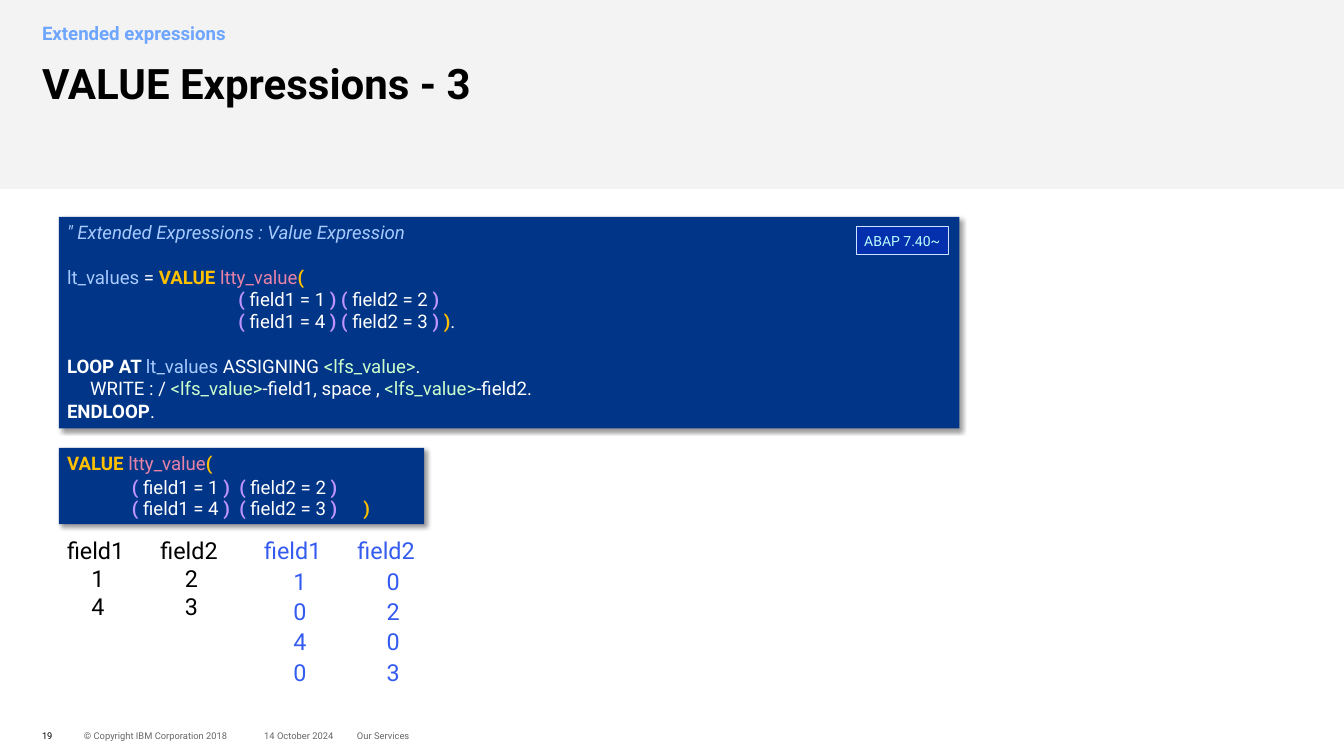
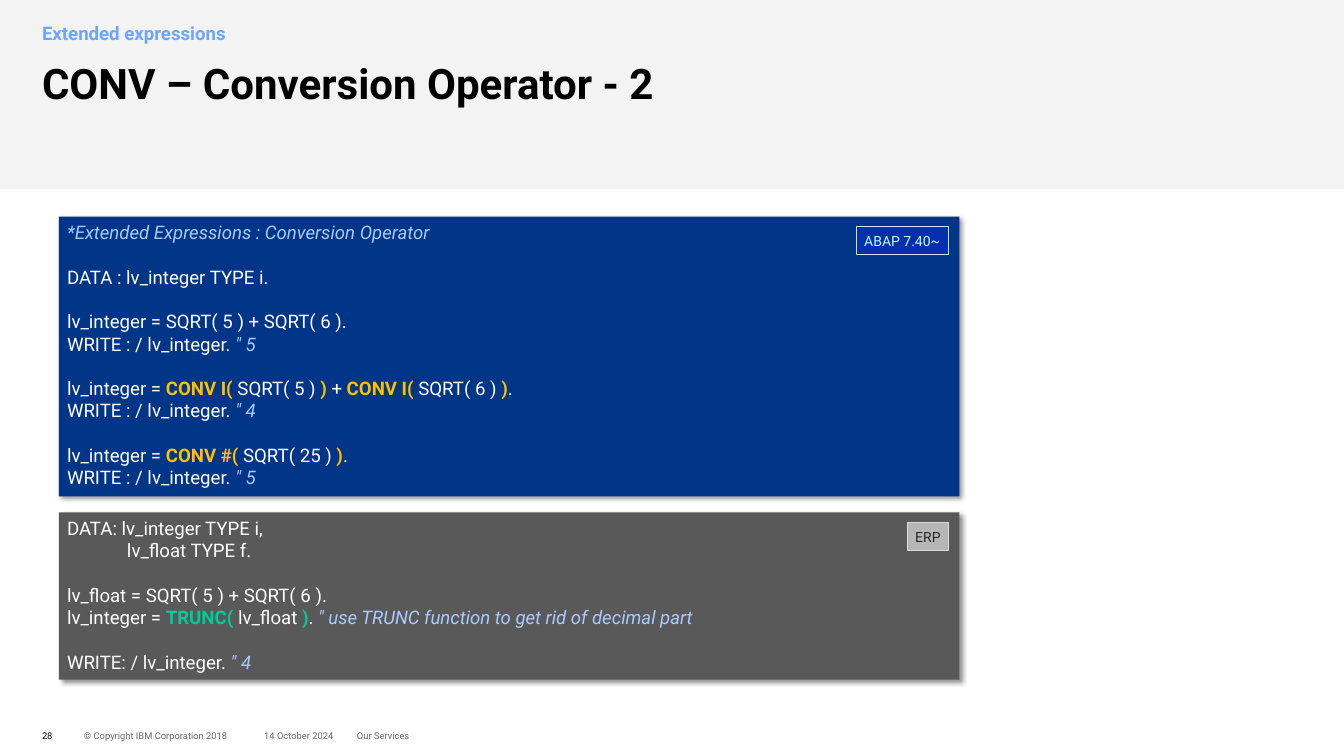
from dataclasses import dataclass

from lxml import etree
from pptx import Presentation
from pptx.dml.color import RGBColor
from pptx.enum.shapes import MSO_SHAPE
from pptx.enum.text import MSO_ANCHOR, MSO_AUTO_SIZE, PP_ALIGN
from pptx.oxml.ns import qn
from pptx.util import Pt

RECTANGLE = MSO_SHAPE.RECTANGLE
TOP, MIDDLE = MSO_ANCHOR.TOP, MSO_ANCHOR.MIDDLE
LEFT, CENTER, RIGHT = PP_ALIGN.LEFT, PP_ALIGN.CENTER, PP_ALIGN.RIGHT
NO_AUTOFIT = MSO_AUTO_SIZE.NONE
TITLE_AND_CONTENT = 1


@dataclass(frozen=True)
class Theme:
    font: str = "Roboto"
    # Type sizes and the height of one blank code line
    title_size: float = 36
    table_size: float = 20
    code_size: float = 16
    tag_size: float = 12
    footer_size: float = 8
    blank_line: float = 19
    # Colours
    text: str = "000000"
    footer: str = "666666"
    band: str = "F3F3F3"
    topic: str = "6EA6FF"
    result: str = "335BF0"
    new_code: str = "003587"
    old_code: str = "595959"
    # Tags: fill, line, text
    new_tag: tuple = ("0530AD", "CFE2FF", "BEFFFE")
    old_tag: tuple = ("B6B6B6", "D9D9D9", "262626")


THEME = Theme()

# Code styles: colour, bold, italic
CODE_STYLES = {
    "plain": ("FFFFFF", False, False),
    "bold": ("FFFFFF", True, False),
    "note": ("A8CAFF", False, True),
    "variable": ("A8CAFF", False, False),
    "keyword": ("FFC000", True, False),
    "type": ("E783A7", False, False),
    "paren": ("BE94FD", True, False),
    "symbol": ("CCFFCC", False, False),
    "function": ("00CC99", True, False),
}


class Deck:
    """Holds the theme and the slide being built."""

    def __init__(self, theme):
        self.theme = theme
        self.file = Presentation()
        self.file.slide_width, self.file.slide_height = Pt(1152), Pt(648)
        self.slide = None

    # Text helpers
    def style(self, paragraph, size, color, bold=False, align=LEFT):
        paragraph.alignment = align
        font = paragraph.font
        font.name, font.size, font.bold = self.theme.font, Pt(size), bold
        font.color.rgb = RGBColor.from_string(color)

    def frame(self, shape, anchor=TOP, inset=True, wrap=True):
        frame = shape.text_frame
        frame.auto_size = NO_AUTOFIT
        frame.word_wrap = wrap
        frame.vertical_anchor = anchor
        if not inset:
            frame.margin_left = frame.margin_right = 0
            frame.margin_top = frame.margin_bottom = 0
        return frame

    def write_code(self, frame, blocks):
        """Write blocks of lines; a blank line's height parts the blocks."""
        paragraph = None
        for block in blocks:
            for number, line in enumerate(block):
                opens_block = paragraph is not None and number == 0
                paragraph = frame.add_paragraph() if paragraph else frame.paragraphs[0]
                self.style(paragraph, self.theme.code_size, CODE_STYLES["plain"][0])
                if opens_block:
                    paragraph.space_before = Pt(self.theme.blank_line)
                for style, text in line:
                    run = paragraph.add_run()
                    run.text = text
                    color, run.font.bold, run.font.italic = CODE_STYLES[style]
                    run.font.color.rgb = RGBColor.from_string(color)

    # Elements
    def rectangle(self, box, fill, line=None):
        shape = self.slide.shapes.add_shape(RECTANGLE, *map(Pt, box))
        shape.shadow.inherit = False
        shape.fill.solid()
        shape.fill.fore_color.rgb = RGBColor.from_string(fill)
        if line:
            shape.line.color.rgb = RGBColor.from_string(line)
            shape.line.width = Pt(0.75)
        else:
            shape.line.fill.background()
        return shape

    def heading(self, placeholder, box, text, size, color):
        placeholder.left, placeholder.top, placeholder.width, placeholder.height = map(Pt, box)
        frame = self.frame(placeholder, inset=False)
        frame.text = text
        paragraph = frame.paragraphs[0]
        properties = paragraph._p.get_or_add_pPr()
        properties.set("marL", "0")
        properties.set("indent", "0")
        etree.SubElement(properties, qn("a:buNone"))
        paragraph.line_spacing = 0.9
        paragraph.space_before = Pt(0)
        self.style(paragraph, size, color, bold=True)

    def footer(self, left, width, text, color, align=LEFT):
        box = self.slide.shapes.add_textbox(Pt(left), Pt(622), Pt(width), Pt(17))
        frame = self.frame(box, MIDDLE, inset=False)
        frame.text = text
        self.style(frame.paragraphs[0], self.theme.footer_size, color, align=align)

    def start_slide(self, title, number):
        theme = self.theme
        layout = self.file.slide_layouts[TITLE_AND_CONTENT]
        self.slide = self.file.slides.add_slide(layout)
        band = self.rectangle((0, 0, 1152, 162), theme.band)
        self.slide.shapes.element.insert(2, band.element)
        self.heading(self.slide.shapes.title, (36, 54, 1080, 63),
                     title, theme.title_size, theme.text)
        self.heading(self.slide.placeholders[1], (36, 21, 234, 33),
                     "Extended expressions", theme.code_size, theme.topic)
        self.footer(36, 26, number, theme.text)
        self.footer(72, 180, "© Copyright IBM Corporation 2018", theme.footer)
        self.footer(178, 108, "14 October 2024", theme.footer, RIGHT)
        self.footer(306, 180, "Our Services", theme.footer)

    def code_panel(self, top, height, blocks, fill, width=772):
        panel = self.rectangle((50.4, top, width, height), fill)
        effects = panel.element.spPr.find(qn("a:effectLst"))
        shadow = etree.SubElement(effects, qn("a:outerShdw"), blurRad=str(Pt(4)),
                                  dist=str(Pt(3)), dir=str(45 * 60000),
                                  algn="tl", rotWithShape="0")
        color = etree.SubElement(shadow, qn("a:srgbClr"), val="000000")
        etree.SubElement(color, qn("a:alpha"), val="40000")
        self.write_code(self.frame(panel), blocks)

    def code_label(self, left, top, line):
        box = self.slide.shapes.add_textbox(Pt(left), Pt(top), Pt(110), Pt(26.6))
        self.write_code(self.frame(box), [[line]])

    def tag(self, top, width, text, colors):
        fill, line, color = colors
        right_edge = 813
        tag = self.rectangle((right_edge - width, top, width, 24), fill, line)
        frame = self.frame(tag, MIDDLE, wrap=False)
        frame.text = text
        frame.paragraphs[0].line_spacing = 1.05
        self.style(frame.paragraphs[0], self.theme.tag_size, color, align=CENTER)

    def field_table(self, left, top, row_height, values, color, digit_shift):
        rows = [("field1", "field2"), *values]
        column_width = 80
        table = self.slide.shapes.add_table(
            len(rows), 2, Pt(left), Pt(top),
            Pt(2 * column_width), Pt(row_height * len(rows))).table
        table.first_row = table.horz_banding = False
        for row_number, row in enumerate(rows):
            table.rows[row_number].height = Pt(row_height)
            for column, value in enumerate(row):
                cell = table.cell(row_number, column)
                cell.fill.background()
                cell.vertical_anchor = MIDDLE
                cell.margin_top = cell.margin_bottom = cell.margin_right = 0
                cell.margin_left = Pt(2 * digit_shift if row_number else 0)
                cell.text = str(value)
                self.style(cell.text_frame.paragraphs[0],
                           self.theme.table_size, color, align=CENTER)


def entry(field, value, end=")"):
    return [("paren", "("), ("plain", f" field{field} = {value} "), ("paren", end)]


def write_line(comment):
    return [("plain", "WRITE : / lv_integer. "), ("note", f'" {comment}')]


def build_value_slide(deck):
    theme = deck.theme
    deck.start_slide("VALUE Expressions - 3", "19")

    # Assignment and loop
    indent = ("paren", " " * 37)
    field_symbol = ("symbol", "<lfs_value>")
    opening = [("keyword", "VALUE "), ("type", "ltty_value"), ("keyword", "(")]
    deck.code_panel(185.8, 181.4, [
        [[("note", '" Extended Expressions : Value Expression')]],
        [[("variable", "lt_values "), ("plain", "= "), *opening],
         [indent, *entry(1, 1, ") "), *entry(2, 2)],
         [indent, *entry(1, 4, ") "), *entry(2, 3, ") "),
          ("keyword", ")"), ("plain", ".")]],
        [[("bold", "LOOP AT "), ("variable", "lt_values "),
          ("plain", "ASSIGNING "), field_symbol, ("plain", ".")],
         [("plain", "     WRITE : / "), field_symbol,
          ("plain", "-field1, space , "), field_symbol, ("plain", "-field2.")],
         [("bold", "ENDLOOP"), ("plain", ".")]],
    ], theme.new_code)
    deck.tag(194.4, 79.2, "ABAP 7.40~", theme.new_tag)

    # Constructor with its entries
    deck.code_panel(383.8, 65.5, [[opening], [[("keyword", " " * 64 + ")")]]],
                    theme.new_code, width=313.2)
    for row, values in enumerate([(1, 2), (4, 3)]):
        for column, value in enumerate(values):
            deck.code_label(106 + 92 * column, 404.6 + 18 * row,
                            entry(column + 1, value))

    # Expected and actual rows
    deck.field_table(42, 461, 24, [(1, 2), (4, 3)], theme.text, digit_shift=2)
    deck.field_table(211, 460, 26, [(1, 0), (0, 2), (4, 0), (0, 3)],
                     theme.result, digit_shift=6)


def build_conv_slide(deck):
    theme = deck.theme
    deck.start_slide("CONV – Conversion Operator - 2", "28")

    # Conversion operator
    assign = ("plain", "lv_integer = ")
    convert, close = ("keyword", "CONV I( "), ("keyword", ")")
    deck.code_panel(185.8, 239.8, [
        [[("note", "*Extended Expressions : Conversion Operator")]],
        [[("plain", "DATA : lv_integer TYPE i.")]],
        [[assign, ("plain", "SQRT( 5 ) + SQRT( 6 ).")], write_line(5)],
        [[assign, convert, ("plain", "SQRT( 5 ) "), close, ("plain", " + "),
          convert, ("plain", "SQRT( 6 ) "), close, ("plain", ".")], write_line(4)],
        [[assign, ("keyword", "CONV #( "), ("plain", "SQRT( 25 ) "), close,
          ("plain", ".")], write_line(5)],
    ], theme.new_code)
    deck.tag(194.4, 79.2, "ABAP 7.40~", theme.new_tag)

    # Earlier way
    deck.code_panel(439.2, 143.3, [
        [[("plain", "DATA: lv_integer TYPE i,")],
         [("plain", " " * 13 + "lv_float TYPE f.")]],
        [[("plain", "lv_float = SQRT( 5 ) + SQRT( 6 ).")],
         [assign, ("function", "TRUNC( "), ("plain", "lv_float "),
          ("function", ")"), ("plain", ". "),
          ("note", '" use TRUNC function to get rid of decimal part')]],
        [[("plain", "WRITE: / lv_integer. "), ("note", '" 4')]],
    ], theme.old_code)
    deck.tag(447.8, 35.3, "ERP", theme.old_tag)


def main():
    deck = Deck(THEME)
    build_value_slide(deck)
    build_conv_slide(deck)
    deck.file.save("out.pptx")


if __name__ == "__main__":
    main()
